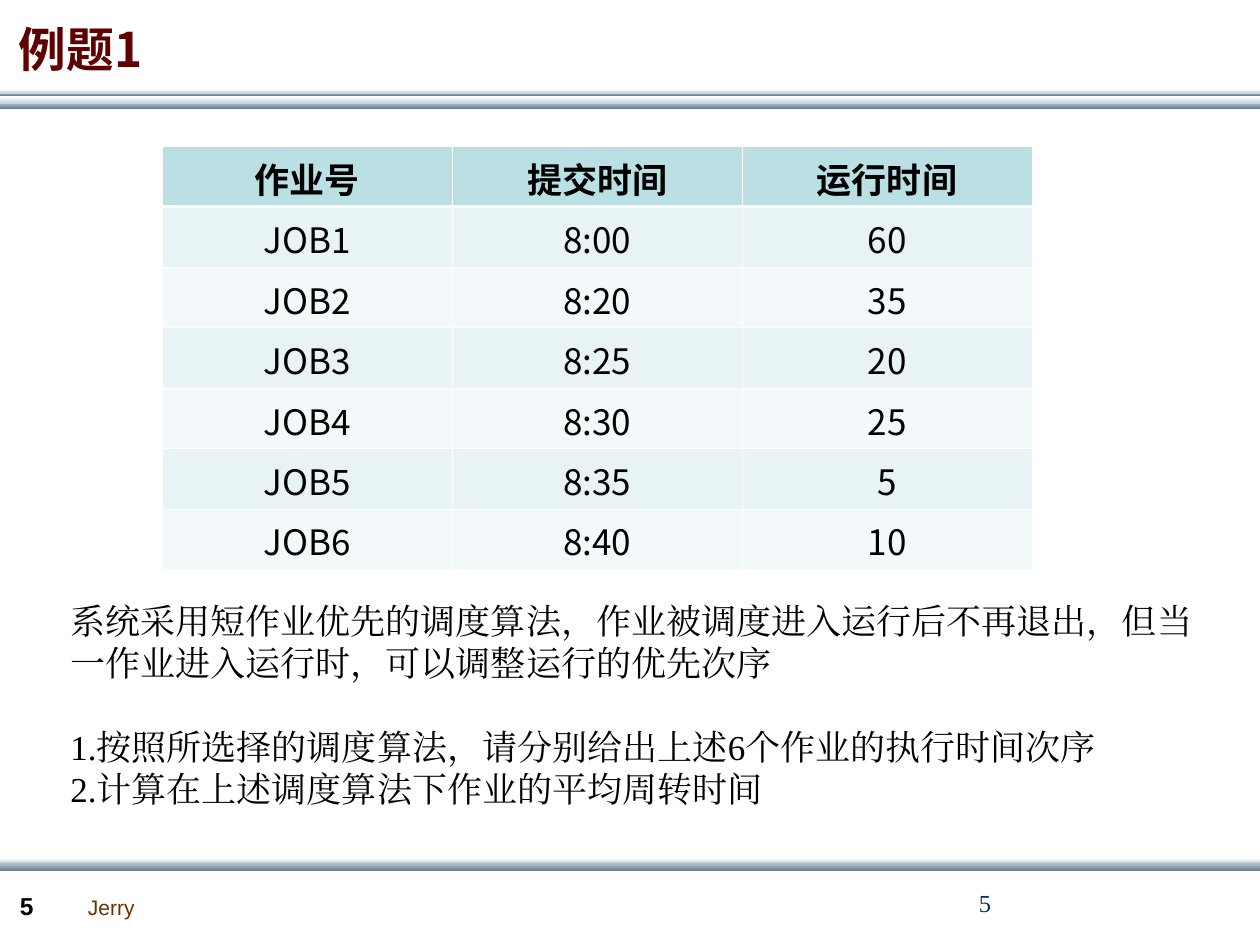
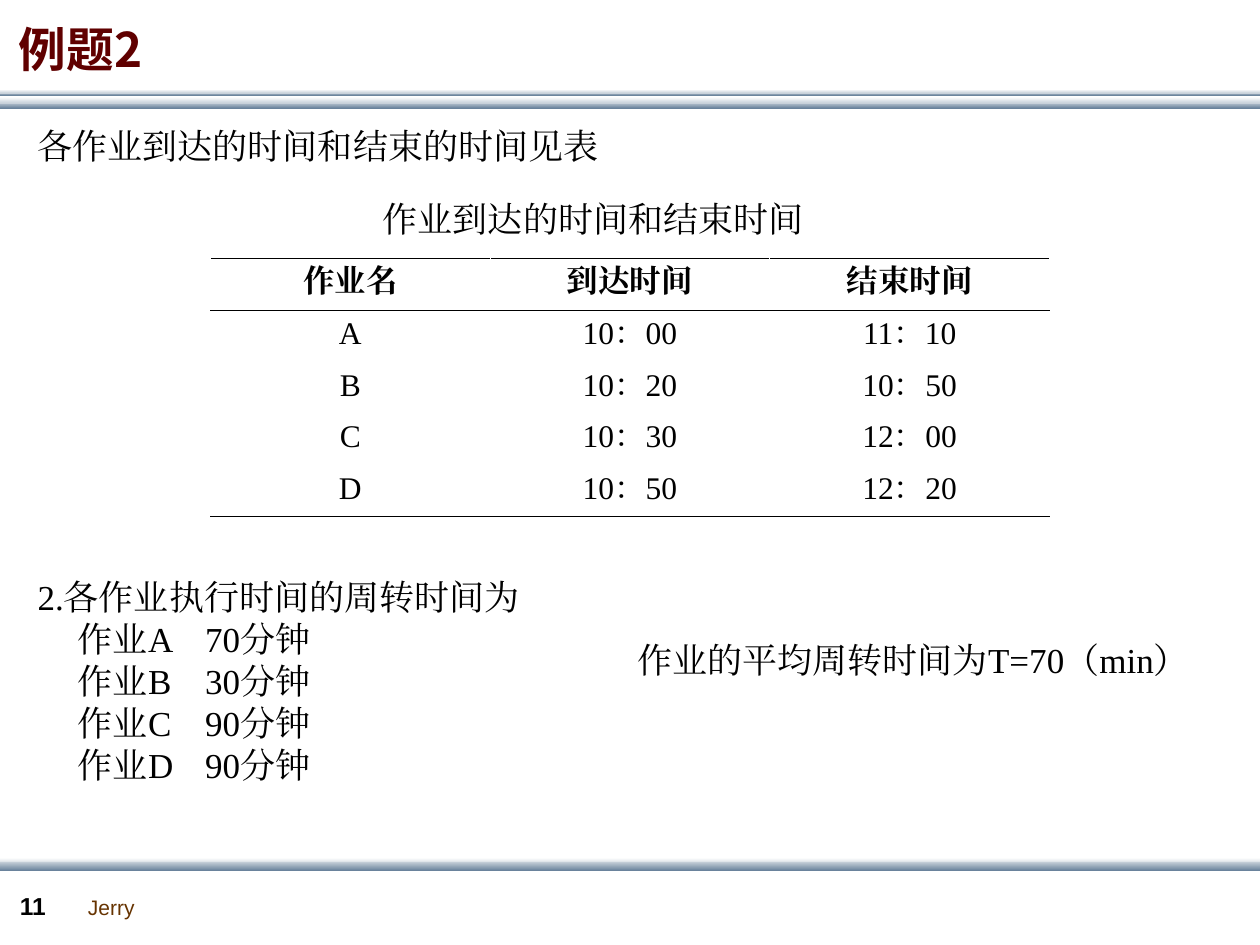
import lxml.etree
import pptx
import pptx.dml.color
import pptx.enum.shapes
import pptx.enum.text
import pptx.oxml.ns
import pptx.util

Inches, Pt = pptx.util.Inches, pptx.util.Pt
qn = pptx.oxml.ns.qn
hex_colour = pptx.dml.color.RGBColor.from_string
LEFT, CENTER = pptx.enum.text.PP_ALIGN.LEFT, pptx.enum.text.PP_ALIGN.CENTER

SANS, SERIF = "Noto Sans CJK SC", "Times New Roman"
BLACK, WHITE, MAROON, NAVY, BROWN = "000000", "FFFFFF", "600000", "003366", "663300"
PALE, STEEL = "C8D1DA", "6A839C"

# Shared bands: top, height, upper colour, lower colour
BANDS = [
    (0.81, 0.05, PALE, STEEL),
    (0.73, 0.03, PALE, STEEL),
    (0.77, 0.05, WHITE, PALE),
    (0.71, 0.03, WHITE, PALE),
    (6.81, 0.05, WHITE, PALE),
    (6.84, 0.07, PALE, STEEL),
]


def write(frame, lines, size=20, font=SERIF, colour=BLACK, bold=False, align=LEFT):
    frame.text = "\n".join(lines)
    for paragraph in frame.paragraphs:
        paragraph.alignment = align
        for run in paragraph.runs:
            run.font.size = Pt(size)
            run.font.bold = bold
            run.font.color.rgb = hex_colour(colour)
            run.font.name = font
            east_asian = lxml.etree.SubElement(run.font._element, qn("a:ea"))
            east_asian.set("typeface", font)


def add_grid(slide, rows, left, top, column_width, row_height, size, font, fills, border):
    """border(row, side) gives the colour and width of one cell edge."""
    grid = slide.shapes.add_table(
        len(rows), len(rows[0]), Inches(left), Inches(top),
        Inches(column_width * len(rows[0])), Inches(row_height * len(rows))).table
    for column in grid.columns:
        column.width = Inches(column_width)
    for r, values in enumerate(rows):
        grid.rows[r].height = Inches(row_height)
        for c, value in enumerate(values):
            cell = grid.cell(r, c)
            write(cell.text_frame, [value], size, font, bold=r == 0, align=CENTER)
            properties = cell._tc.get_or_add_tcPr()
            for side in "LRTB":
                colour, width = border(r, side)
                edge = lxml.etree.SubElement(properties, qn("a:ln" + side), w=str(Pt(width)))
                solid = lxml.etree.SubElement(edge, qn("a:solidFill"))
                lxml.etree.SubElement(solid, qn("a:srgbClr"), val=colour)
            if fills:
                cell.fill.solid()
                cell.fill.fore_color.rgb = hex_colour(fills[r])
            else:
                cell.fill.background()


prs = pptx.Presentation()
prs.slide_width, prs.slide_height = Inches(10), Inches(7.5)

# Text boxes of each slide: left, top, width, height, lines, format
example_1_texts = [
    (7.67, 7, 2.08, 0.5, ["5"], dict(size=14, colour=NAVY)),
    (0.46, 4.71, 9.36, 1.77, [
        "系统采用短作业优先的调度算法，作业被调度进入运行后不再退出，但当一作业进入运行时，可以调整运行的优先次序",
        "1.按照所选择的调度算法，请分别给出上述6个作业的执行时间次序",
        "2.计算在上述调度算法下作业的平均周转时间"], {}),
]
turnaround = {"A": 70, "B": 30, "C": 90, "D": 90}
example_2_texts = [
    (0.2, 0.94, 5.47, 0.44, ["各作业到达的时间和结束的时间见表"], {}),
    (2.94, 1.52, 4.4, 0.44, ["作业到达的时间和结束时间"], {}),
    (4.96, 5.02, 4.81, 0.77, ["作业的平均周转时间为T=70（min）"], {}),
    (0.2, 4.52, 4.62, 1.77, ["2.各作业执行时间的周转时间为"] + [
        f"\t作业{job}\t{minutes}分钟" for job, minutes in turnaround.items()], {}),
]

slides, last_frames = [], []
for title, number, texts in [("例题1", "5", example_1_texts), ("例题2", "11", example_2_texts)]:
    slide = prs.slides.add_slide(prs.slide_layouts[5])
    slides.append(slide)

    # Bands
    for top, height, upper, lower in BANDS:
        band = slide.shapes.add_shape(
            pptx.enum.shapes.MSO_SHAPE.RECTANGLE, 0, Inches(top), Inches(10.01), Inches(height))
        band.shadow.inherit = False
        band.line.fill.background()
        band.fill.gradient()
        band.fill.gradient_angle = 270
        for stop, colour in zip(band.fill.gradient_stops, (upper, lower)):
            stop.color.rgb = hex_colour(colour)

    # Title
    heading = slide.shapes.title
    heading.left, heading.top = Inches(0.05), Inches(0)
    heading.width, heading.height = Inches(1.36), Inches(0.83)
    write(heading.text_frame, [title], 27.2, SANS, MAROON, True)
    heading.text_frame.auto_size = pptx.enum.text.MSO_AUTO_SIZE.NONE
    heading.text_frame.vertical_anchor = pptx.enum.text.MSO_ANCHOR.MIDDLE
    heading.text_frame.paragraphs[0].line_spacing = 0.9

    # Footer and body text
    footer = [
        (0.6, 7.05, 0.7, 0.3, ["Jerry"], dict(size=12, font="Arial", colour=BROWN)),
        (0.06, 7.02, 0.55, 0.34, [number], dict(size=14, font="Arial", bold=True)),
    ]
    for left, top, width, height, lines, style in footer + texts:
        frame = slide.shapes.add_textbox(
            Inches(left), Inches(top), Inches(width), Inches(height)).text_frame
        frame.word_wrap = True
        write(frame, lines, **style)
    last_frames.append(frame)

questions, turnaround_list = last_frames

# Gap above the two questions
questions.paragraphs[1].space_before = Pt(24)

# Job names and minutes line up on tab stops
for paragraph in turnaround_list.paragraphs[1:]:
    tabs = lxml.etree.SubElement(paragraph._p.get_or_add_pPr(), qn("a:tabLst"))
    for position in (0.32, 1.33):
        lxml.etree.SubElement(tabs, qn("a:tab"), pos=str(Inches(position)), algn="l")

# Submitted jobs
submitted = [("8:00", 60), ("8:20", 35), ("8:25", 20), ("8:30", 25), ("8:35", 5), ("8:40", 10)]
job_rows = [("作业号", "提交时间", "运行时间")] + [
    (f"JOB{i}", time, str(minutes)) for i, (time, minutes) in enumerate(submitted, 1)]
add_grid(slides[0], job_rows, 1.29, 1.16, 2.3, 0.48, 20, SANS,
         ["BBE0E3"] + ["E7F3F4", "F3F9FA"] * 3,
         lambda row, side: (WHITE, 1.47 if (row, side) in [(0, "B"), (1, "T")] else 0.45))

# Arrival and end times, ruled above, below the header and at the foot
time_rows = [
    ("作业名", "到达时间", "结束时间"),
    ("A", "10：00", "11：10"),
    ("B", "10：20", "10：50"),
    ("C", "10：30", "12：00"),
    ("D", "10：50", "12：20"),
]
ruled = [(0, "T"), (0, "B"), (1, "T"), (4, "B")]
add_grid(slides[1], time_rows, 1.67, 2.05, 2.22, 0.41, 18, SERIF, None,
         lambda row, side: (BLACK if (row, side) in ruled else WHITE, 0.45))

prs.save("out.pptx")
